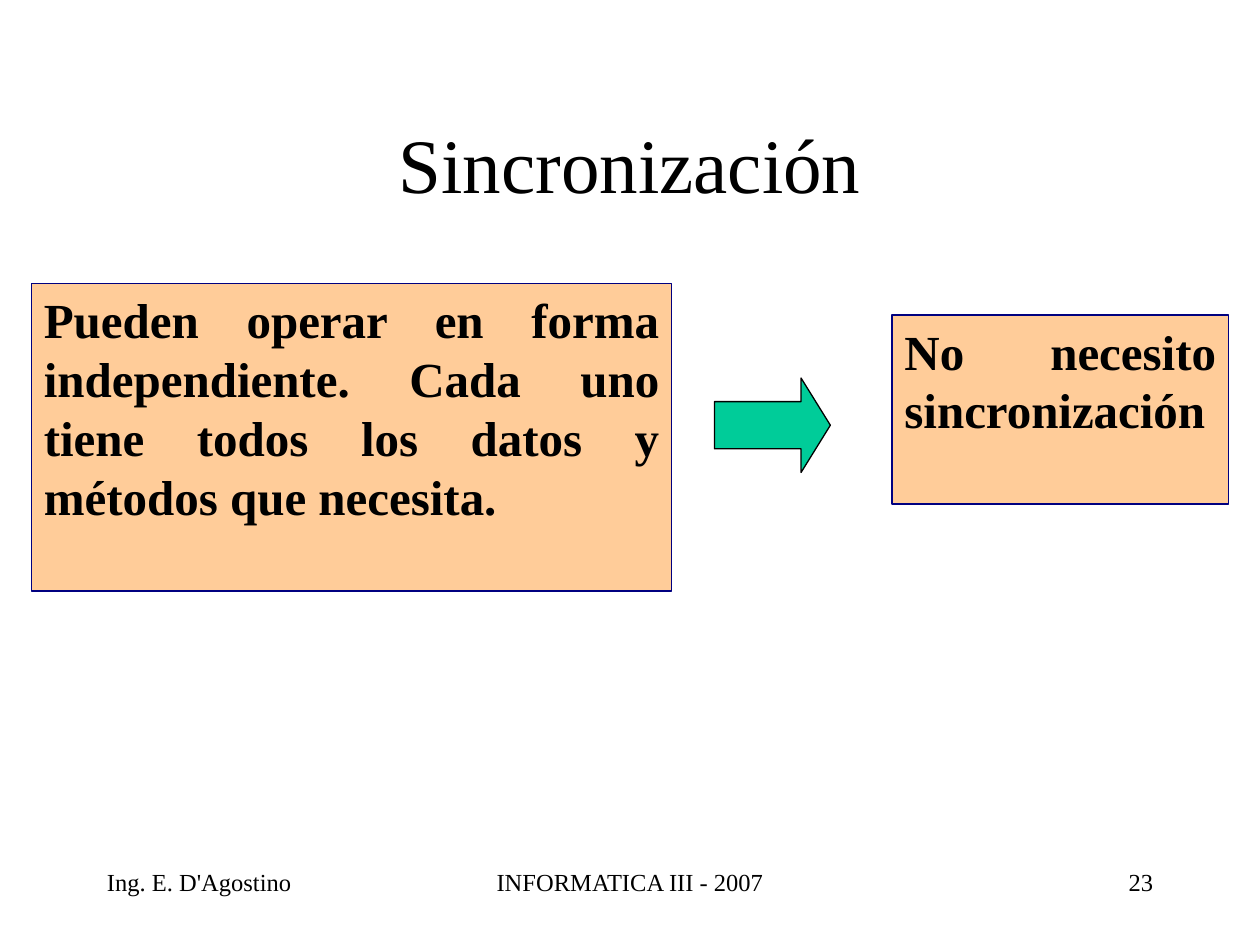
from pptx import Presentation
from pptx.dml.color import RGBColor
from pptx.enum.shapes import MSO_SHAPE
from pptx.enum.text import MSO_ANCHOR, MSO_AUTO_SIZE, PP_ALIGN
from pptx.util import Inches, Pt

RECTANGLE, RIGHT_ARROW = MSO_SHAPE.RECTANGLE, MSO_SHAPE.RIGHT_ARROW
TOP, MIDDLE = MSO_ANCHOR.TOP, MSO_ANCHOR.MIDDLE
NO_AUTOFIT = MSO_AUTO_SIZE.NONE
LEFT, CENTER, RIGHT, JUSTIFY = (
    PP_ALIGN.LEFT, PP_ALIGN.CENTER, PP_ALIGN.RIGHT, PP_ALIGN.JUSTIFY)
TITLE_ONLY = 5
FONT = "Times New Roman"
BLACK, NAVY, PEACH, GREEN = "000000", "000080", "FFCC99", "00CC99"


def color(hex_value):
    """Return the colour for a hex string."""
    return RGBColor.from_string(hex_value)


def write_text(holder, text, size=14, bold=False, align=LEFT, anchor=TOP):
    """Write one formatted paragraph into a shape."""
    frame = holder.text_frame
    frame.word_wrap = True
    frame.auto_size = NO_AUTOFIT
    frame.vertical_anchor = anchor
    paragraph = frame.paragraphs[0]
    paragraph.alignment = align
    run = paragraph.add_run()
    run.text = text
    run.font.name = FONT
    run.font.size = Pt(size)
    run.font.bold = bold
    run.font.color.rgb = color(BLACK)


def add_filled_shape(slide, preset, box, fill, line):
    """Add a preset shape with a plain fill and a thin outline."""
    shape = slide.shapes.add_shape(preset, *map(Inches, box))
    shape.shadow.inherit = False
    shape.fill.solid()
    shape.fill.fore_color.rgb = color(fill)
    shape.line.color.rgb = color(line)
    shape.line.width = Pt(0.75)
    return shape


def place_title(slide, box, text):
    """Move the title placeholder to its box and fill it."""
    title = slide.shapes.title
    title.left, title.top, title.width, title.height = map(Inches, box)
    write_text(title, text, size=44, align=CENTER, anchor=MIDDLE)


def add_statement(slide, box, text):
    """Add a peach box with a bold justified statement."""
    statement = add_filled_shape(slide, RECTANGLE, box, PEACH, NAVY)
    write_text(statement, text, size=28, bold=True, align=JUSTIFY)


def add_implication_arrow(slide, box):
    """Add the block arrow that leads from cause to consequence."""
    arrow = add_filled_shape(slide, RIGHT_ARROW, box, GREEN, BLACK)
    arrow.adjustments[0] = 0.5
    arrow.adjustments[1] = 0.31


def add_footer(slide, box, author, course, number):
    """Add author, course and slide number along the footer box."""
    left, top, width, height = box
    side, middle = 2.08, 3.17
    parts = (
        (author, left, side, LEFT),
        (course, left + (width - middle) / 2, middle, CENTER),
        (number, left + width - side, side, RIGHT),
    )
    for text, part_left, part_width, align in parts:
        part_box = (part_left, top, part_width, height)
        footer_part = slide.shapes.add_textbox(*map(Inches, part_box))
        write_text(footer_part, text, align=align)


def main():
    """Build the slide and save it."""
    presentation = Presentation()
    presentation.slide_width = Inches(10)
    presentation.slide_height = Inches(7.5)
    slide = presentation.slides.add_slide(
        presentation.slide_layouts[TITLE_ONLY])
    place_title(slide, (0.75, 0.67, 8.5, 1.25), "Sincronización")
    add_statement(
        slide, (0.25, 2.25, 5.08, 2.44),
        "Pueden operar en forma independiente. Cada uno tiene todos los "
        "datos y métodos que necesita.")
    add_implication_arrow(slide, (5.67, 3, 0.92, 0.75))
    add_statement(
        slide, (7.08, 2.5, 2.67, 1.5), "No necesito sincronización")
    add_footer(slide, (0.75, 6.83, 8.5, 0.5),
               "Ing. E. D'Agostino", "INFORMATICA III - 2007", "23")
    presentation.save("out.pptx")


if __name__ == "__main__":
    main()
